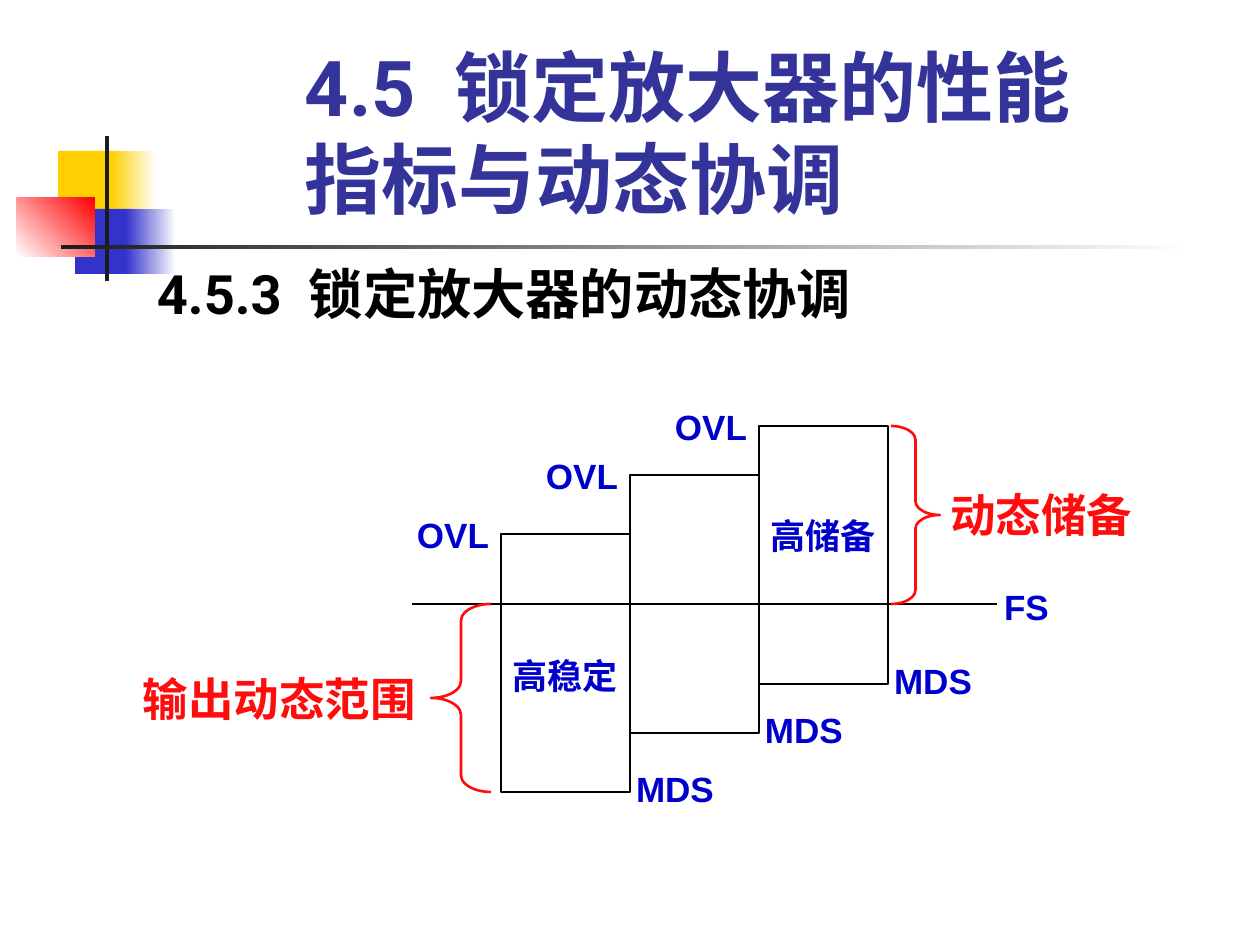
from collections import namedtuple
from dataclasses import dataclass

from lxml import etree
from pptx import Presentation
from pptx.dml.color import RGBColor
from pptx.enum.shapes import MSO_CONNECTOR, MSO_SHAPE
from pptx.enum.text import MSO_ANCHOR, PP_ALIGN
from pptx.oxml.ns import qn
from pptx.util import Pt

RECTANGLE = MSO_SHAPE.RECTANGLE
LEFT_BRACE, RIGHT_BRACE = MSO_SHAPE.LEFT_BRACE, MSO_SHAPE.RIGHT_BRACE
STRAIGHT = MSO_CONNECTOR.STRAIGHT
TOP, MIDDLE = MSO_ANCHOR.TOP, MSO_ANCHOR.MIDDLE
LEFT, CENTER = PP_ALIGN.LEFT, PP_ALIGN.CENTER

Box = namedtuple("Box", "x y w h")


@dataclass(frozen=True)
class Theme:
    yellow: str = "FFCF01"
    blue: str = "3333CC"
    red: str = "FF0000"
    charcoal: str = "1C1C1C"
    white: str = "FFFFFF"
    black: str = "000000"
    title: str = "333399"
    label: str = "0000CC"
    accent: str = "FF0D0D"
    heading_font: str = "Roboto"
    label_font: str = "Arial"
    title_size: int = 44
    section_size: int = 31
    accent_size: int = 26
    label_size: int = 20


THEME = Theme()


def px(length):
    return round(length * 914400 / 126)


def emu(box):
    return [px(length) for length in box]


def within(area, x, y, w, h):
    return Box(area.x + x, area.y + y, w, h)


def add_outline(slide, preset, box, color):
    outline = slide.shapes.add_shape(preset, *emu(box))
    outline.shadow.inherit = False
    outline.fill.background()
    outline.line.color.rgb = RGBColor.from_string(color)
    outline.line.width = Pt(1.5)
    return outline


def add_block(slide, box, start, end=None, angle=0):
    block = slide.shapes.add_shape(RECTANGLE, *emu(box))
    block.shadow.inherit = False
    block.line.fill.background()
    if end is None:
        block.fill.solid()
        block.fill.fore_color.rgb = RGBColor.from_string(start)
        return
    block.fill.gradient()
    block.fill.gradient_angle = angle
    for stop, color, position in zip(block.fill.gradient_stops, (start, end), (0, 1)):
        stop.color.rgb = RGBColor.from_string(color)
        stop.position = position


def add_text(slide, box, parts, size, color, font, align=CENTER, anchor=TOP, inset=(0, 0)):
    frame = slide.shapes.add_textbox(*emu(box)).text_frame
    frame.word_wrap = True
    frame.vertical_anchor = anchor
    frame.margin_left = frame.margin_right = px(inset[0])
    frame.margin_top = frame.margin_bottom = px(inset[1])
    paragraph = frame.paragraphs[0]
    paragraph.alignment = align
    paragraph.font.size = Pt(size)
    paragraph.font.bold = True
    paragraph.font.name = font
    paragraph.font.color.rgb = RGBColor.from_string(color)
    for part in parts:
        run = paragraph.add_run()
        run.text = part
        if part == " ":
            run.font._element.set("spc", str(size * 25))


def add_label(slide, box, text):
    add_text(slide, box, [text], THEME.label_size, THEME.label, THEME.label_font)


def add_heading(slide, box, number, heading, size, color, anchor):
    add_text(slide, box, [number, " ", heading], size, color, THEME.heading_font,
             LEFT, anchor, (13, 6))


def add_ornament(slide, area):
    t = THEME
    blocks = [
        ((41, 15, 60, 65), t.yellow, None, 0),
        ((94, 15, 45, 65), t.yellow, t.white, 0),
        ((58, 73, 58, 65), t.blue, None, 0),
        ((109, 73, 50, 65), t.blue, t.white, 0),
        ((0, 62, 78, 59), t.white, t.red, 45),
        ((88, 0, 4, 145), t.charcoal, None, 0),
        ((44, 109, 1134, 4), t.charcoal, t.white, 0),
    ]
    for place, start, end, angle in blocks:
        add_block(slide, within(area, *place), start, end, angle)


def add_headings(slide, area):
    add_heading(slide, within(area, 148, 0, 824, 193), "4.5", "锁定放大器的性能指标与动态协调",
                THEME.title_size, THEME.title, MIDDLE)
    add_heading(slide, within(area, 0, 219, 1058, 79), "4.5.3", "锁定放大器的动态协调",
                THEME.section_size, THEME.black, TOP)


def add_full_scale(slide, area, y):
    axis = slide.shapes.add_connector(
        STRAIGHT, px(area.x + 286), px(area.y + y), px(area.x + 871), px(area.y + y))
    axis.line.color.rgb = RGBColor.from_string(THEME.black)
    axis.line.width = Pt(1)
    etree.SubElement(axis._element.spPr, qn("a:effectLst"))
    add_label(slide, within(area, 871, y - 19, 59, 42), "FS")


def add_range(slide, box):
    add_outline(slide, RECTANGLE, box, THEME.black)
    add_label(slide, within(box, -93, -21, 90, 42), "OVL")
    add_label(slide, within(box, box.w, box.h - 25, 90, 42), "MDS")


def add_brace(slide, preset, brace_box, text_box, text):
    brace = add_outline(slide, preset, brace_box, THEME.accent)
    brace.adjustments[0] = 0.28
    add_text(slide, text_box, [text], THEME.accent_size, THEME.accent, THEME.label_font)


def add_range_diagram(slide, area):
    full_scale, width, height = 178, 129, 258
    add_full_scale(slide, area, full_scale)
    for index, top in enumerate((108, 49, 0)):
        add_range(slide, within(area, 375 + index * width, top, width, height))
    add_label(slide, within(area, 375, 228, width, 42), "高稳定")
    add_label(slide, within(area, 375 + 2 * width, 88, width, 42), "高储备")
    add_brace(slide, RIGHT_BRACE, within(area, 765, 0, 49, full_scale),
              within(area, 821, 61, 189, 54), "动态储备")
    add_brace(slide, LEFT_BRACE, within(area, 305, full_scale, 60, 188),
              within(area, 0, 245, 307, 54), "输出动态范围")


def main():
    presentation = Presentation()
    presentation.slide_width, presentation.slide_height = px(1260), px(945)
    slide = presentation.slides.add_slide(presentation.slide_layouts[6])
    add_ornament(slide, Box(17, 136, 1178, 145))
    add_headings(slide, Box(144, 35, 1058, 298))
    add_range_diagram(slide, Box(126, 426, 1010, 383))
    presentation.save("out.pptx")


if __name__ == "__main__":
    main()
